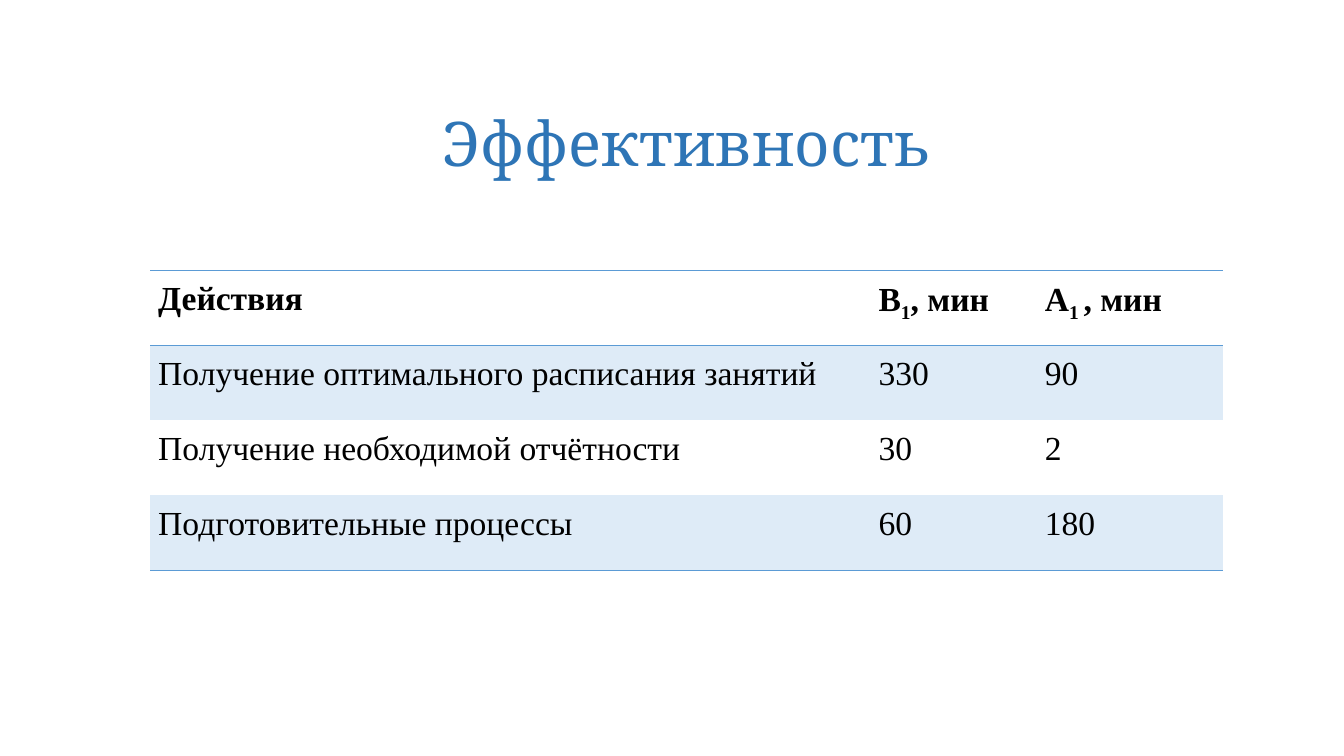
from lxml.etree import SubElement
from pptx import Presentation
from pptx.dml.color import RGBColor
from pptx.enum.text import MSO_ANCHOR, PP_ALIGN
from pptx.oxml.ns import qn
from pptx.util import Inches, Pt

TITLE = "Эффективность"
ROWS = [
    [["Действия"], ["B", "1", ", мин"], ["A", "1 ", ", мин"]],
    [["Получение оптимального расписания занятий"], ["330"], ["90"]],
    [["Получение необходимой отчётности"], ["30"], ["2"]],
    [["Подготовительные процессы"], ["60"], ["180"]],
]
COL_WIDTHS = [7.15, 1.65, 1.85]
ROW_HEIGHT = 0.745
RULED_EDGES = (0, 1, len(ROWS))

TITLE_BLUE = RGBColor(0x2E, 0x75, 0xB6)
RULE_BLUE = RGBColor(0x5B, 0x9B, 0xD5)
BAND_BLUE = RGBColor(0xDE, 0xEB, 0xF7)
BLACK = RGBColor(0, 0, 0)


def set_borders(cell, row):
    tcPr = cell._tc.get_or_add_tcPr()
    ruled = {"a:lnT": row in RULED_EDGES, "a:lnB": row + 1 in RULED_EDGES}
    for side in ("a:lnL", "a:lnR", "a:lnT", "a:lnB"):
        ln = SubElement(tcPr, qn(side), w=str(Pt(0.45)))
        if ruled.get(side):
            fill = SubElement(ln, qn("a:solidFill"))
            SubElement(fill, qn("a:srgbClr"), val=str(RULE_BLUE))
        else:
            SubElement(ln, qn("a:noFill"))


def fill_cell(cell, row, parts):
    set_borders(cell, row)
    if row % 2:
        cell.fill.solid()
        cell.fill.fore_color.rgb = BAND_BLUE
    else:
        cell.fill.background()
    cell.margin_left = cell.margin_right = Inches(0.08)
    cell.margin_top = cell.margin_bottom = Inches(0.05)
    p = cell.text_frame.paragraphs[0]
    p.alignment = PP_ALIGN.JUSTIFY
    p.line_spacing = 1.15
    p.font.name = "Times New Roman"
    p.font.size = Pt(24)
    p.font.bold = row == 0
    p.font.color.rgb = BLACK
    for i, part in enumerate(parts):
        r = p.add_run()
        r.text = part
        if i == 1:
            r._r.get_or_add_rPr().set("baseline", "-25000")


prs = Presentation()
prs.slide_width, prs.slide_height = Inches(13.34), Inches(7.5)
s = prs.slides.add_slide(prs.slide_layouts[6])

tf = s.shapes.add_textbox(Inches(1.88), Inches(0.68), Inches(9.88), Inches(1.45)).text_frame
tf.word_wrap = True
tf.vertical_anchor = MSO_ANCHOR.MIDDLE
p = tf.paragraphs[0]
p.text = TITLE
p.alignment = PP_ALIGN.CENTER
p.font.name = "Cambria"
p.font.size = Pt(44)
p.font.color.rgb = TITLE_BLUE

table = s.shapes.add_table(
    len(ROWS), len(COL_WIDTHS), Inches(1.49), Inches(2.68),
    Inches(sum(COL_WIDTHS)), Inches(ROW_HEIGHT * len(ROWS))).table
table.horz_banding = False
table.first_row = False
for col, width in zip(table.columns, COL_WIDTHS):
    col.width = Inches(width)
for row, texts in enumerate(ROWS):
    for col, parts in enumerate(texts):
        fill_cell(table.cell(row, col), row, parts)

prs.save("out.pptx")
